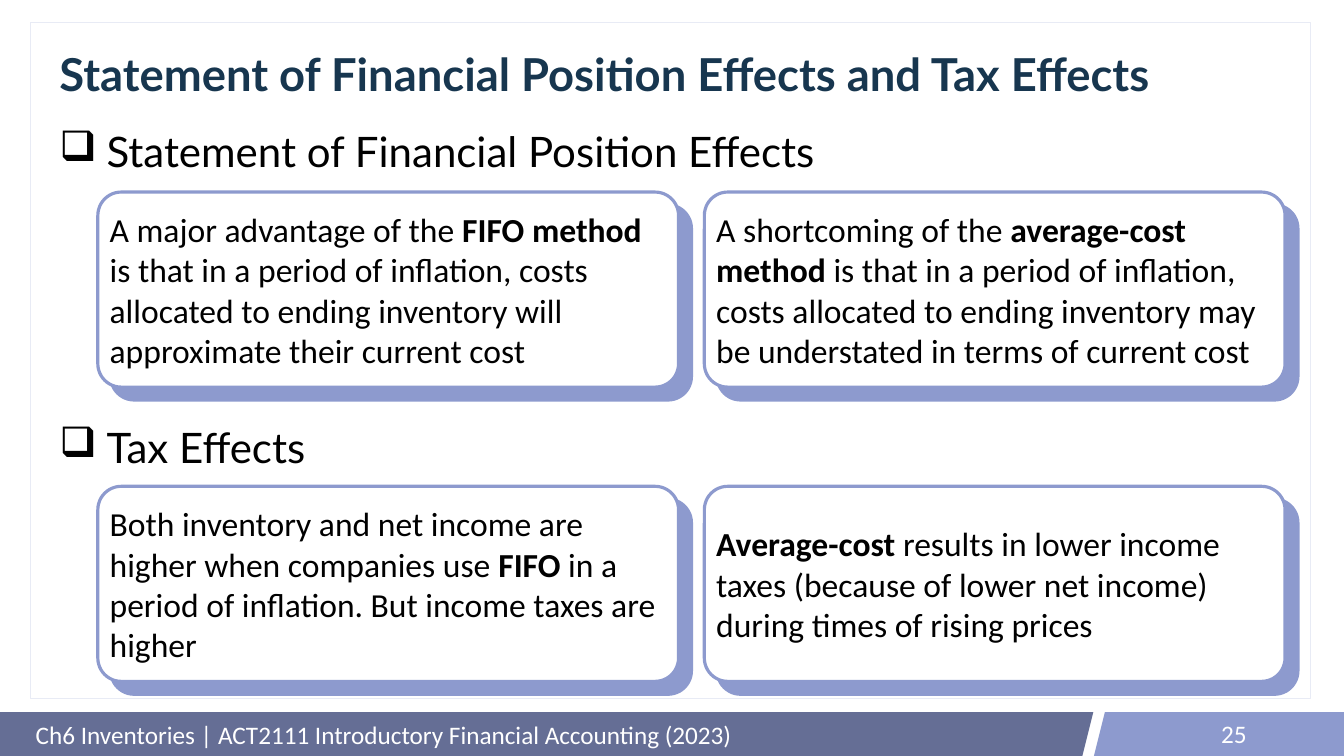
from lxml import etree
from pptx import Presentation
from pptx import util as u
from pptx.dml.color import RGBColor
from pptx.enum import shapes, text
from pptx.oxml.ns import qn

COLORS = {
    "navy": "17364F", "slate": "656E95", "periwinkle": "8D9ACE",
    "frame": "E8EBF5", "white": "FFFFFF", "black": "000000",
}
TITLE = "Statement of Financial Position Effects and Tax Effects"
HEADINGS = ["Statement of Financial Position Effects", "Tax Effects"]
CARDS = [
    [
        [("A major advantage of the ", False), ("FIFO method ", True),
         ("is that in a period of inflation, costs allocated to ending inventory "
          "will approximate their current cost", False)],
        [("A shortcoming of the ", False), ("average-cost method", True),
         (" is that in a period of inflation, costs allocated to ending inventory "
          "may be understated in terms of current cost", False)],
    ],
    [
        [("Both inventory and net income are higher when companies use ", False),
         ("FIFO ", True),
         ("in a period of inflation. But income taxes are higher", False)],
        [("Average-cost ", True),
         ("results in lower income taxes (because of lower net income) "
          "during times of rising prices", False)],
    ],
]
FOOTER = "Ch6 Inventories | ACT2111 Introductory Financial Accounting (2023)"
PAGE_NUMBER = "25"

KIND = shapes.MSO_SHAPE
WIDTH, HEIGHT = 67.72, 38.1
BAR_TOP, BAR_HEIGHT = 35.89, 2.21
BAR = [
    (KIND.RECTANGLE, 0, 50.67, "slate"),
    (KIND.PARALLELOGRAM, 44.17, 10.92, "slate"),
    (KIND.PARALLELOGRAM, 55.12, 10.92, "periwinkle"),
    (KIND.RECTANGLE, 56.82, 10.9, "periwinkle"),
]
CARD_LEFT, CARD_TOP = 4.93, 9.68
CARD_WIDTH, CARD_HEIGHT = 29.26, 9.83
COLUMN_STEP, ROW_STEP = 30.56, 14.83
SHADOW_OFFSET = 0.65


def color(name):
    return RGBColor.from_string(COLORS[name])


def add_block(page, kind, area, fill, line=None, weight=0):
    block = page.shapes.add_shape(kind, *map(u.Cm, area))
    block.shadow.inherit = False
    block.fill.solid()
    block.fill.fore_color.rgb = color(fill)
    if line:
        block.line.color.rgb = color(line)
        block.line.width = u.Pt(weight)
    else:
        block.line.fill.background()
    return block


def add_spans(para, spans, size, font="Calibri", ink="black"):
    for words, bold in spans:
        span = para.add_run()
        span.text = words
        formats = {"name": font, "size": u.Pt(size), "bold": bold}
        for key, value in formats.items():
            setattr(span.font, key, value)
        span.font.color.rgb = color(ink)


def set_frame(box, anchor=text.MSO_ANCHOR.MIDDLE):
    formats = {"word_wrap": True, "vertical_anchor": anchor,
               "auto_size": text.MSO_AUTO_SIZE.NONE}
    for key, value in formats.items():
        setattr(box.text_frame, key, value)
    return box.text_frame


def add_box(page, area, anchor=text.MSO_ANCHOR.MIDDLE):
    return set_frame(page.shapes.add_textbox(*map(u.Cm, area)), anchor)


def add_title(page):
    title = page.shapes.title
    area = {"left": 2.74, "top": 2.03, "width": 61.95, "height": 3.68}
    for key, value in area.items():
        setattr(title, key, u.Cm(value))
    para = set_frame(title).paragraphs[0]
    para.alignment = text.PP_ALIGN.LEFT
    para.line_spacing = 0.9
    add_spans(para, [(TITLE, True)], 64.8, "Lato", "navy")


def add_headings(page):
    frame = add_box(page, (2.74, 6.48, 61.95, 27.86), text.MSO_ANCHOR.TOP)
    for index, heading in enumerate(HEADINGS):
        para = frame.add_paragraph() if index else frame.paragraphs[0]
        para.line_spacing = 0.9
        para.space_before = u.Pt(358 * index)
        settings = para._p.get_or_add_pPr()
        settings.set("marL", str(u.Cm(2.38)))
        settings.set("indent", str(-u.Cm(2.38)))
        etree.SubElement(settings, qn("a:buChar")).set("char", "❑")
        add_spans(para, [(heading, False)], 60, "Lato")


def add_card(page, left, top, spans):
    for offset, fill in ((SHADOW_OFFSET, "periwinkle"), (0, "white")):
        area = (left + offset, top + offset, CARD_WIDTH, CARD_HEIGHT)
        card = add_block(page, KIND.ROUNDED_RECTANGLE, area, fill, "periwinkle", 4.5)
        card.adjustments[0] = 0.12
    para = set_frame(card).paragraphs[0]
    para.alignment = text.PP_ALIGN.LEFT
    add_spans(para, spans, 48)


def add_footer(page):
    for area, words, align in (
        ((1.55, 35.94, 52.32, 2.16), FOOTER, text.PP_ALIGN.LEFT),
        ((47.83, 35.94, 15.24, 2.03), PAGE_NUMBER, text.PP_ALIGN.RIGHT),
    ):
        para = add_box(page, area).paragraphs[0]
        para.alignment = align
        add_spans(para, [(words, False)], 36, ink="white")


def main():
    deck = Presentation()
    deck.slide_width, deck.slide_height = u.Cm(WIDTH), u.Cm(HEIGHT)
    page = deck.slides.add_slide(deck.slide_layouts[5])
    for kind, left, width, fill in BAR:
        add_block(page, kind, (left, BAR_TOP, width, BAR_HEIGHT), fill)
    add_block(page, KIND.RECTANGLE, (1.55, 1.12, 64.49, 34.06), "white", "frame", 1)
    title = page.shapes.title._element
    title.getparent().append(title)
    add_title(page)
    add_headings(page)
    for row, cards in enumerate(CARDS):
        for column, spans in enumerate(cards):
            add_card(page, CARD_LEFT + column * COLUMN_STEP,
                     CARD_TOP + row * ROW_STEP, spans)
    add_footer(page)
    deck.save("out.pptx")


if __name__ == "__main__":
    main()
